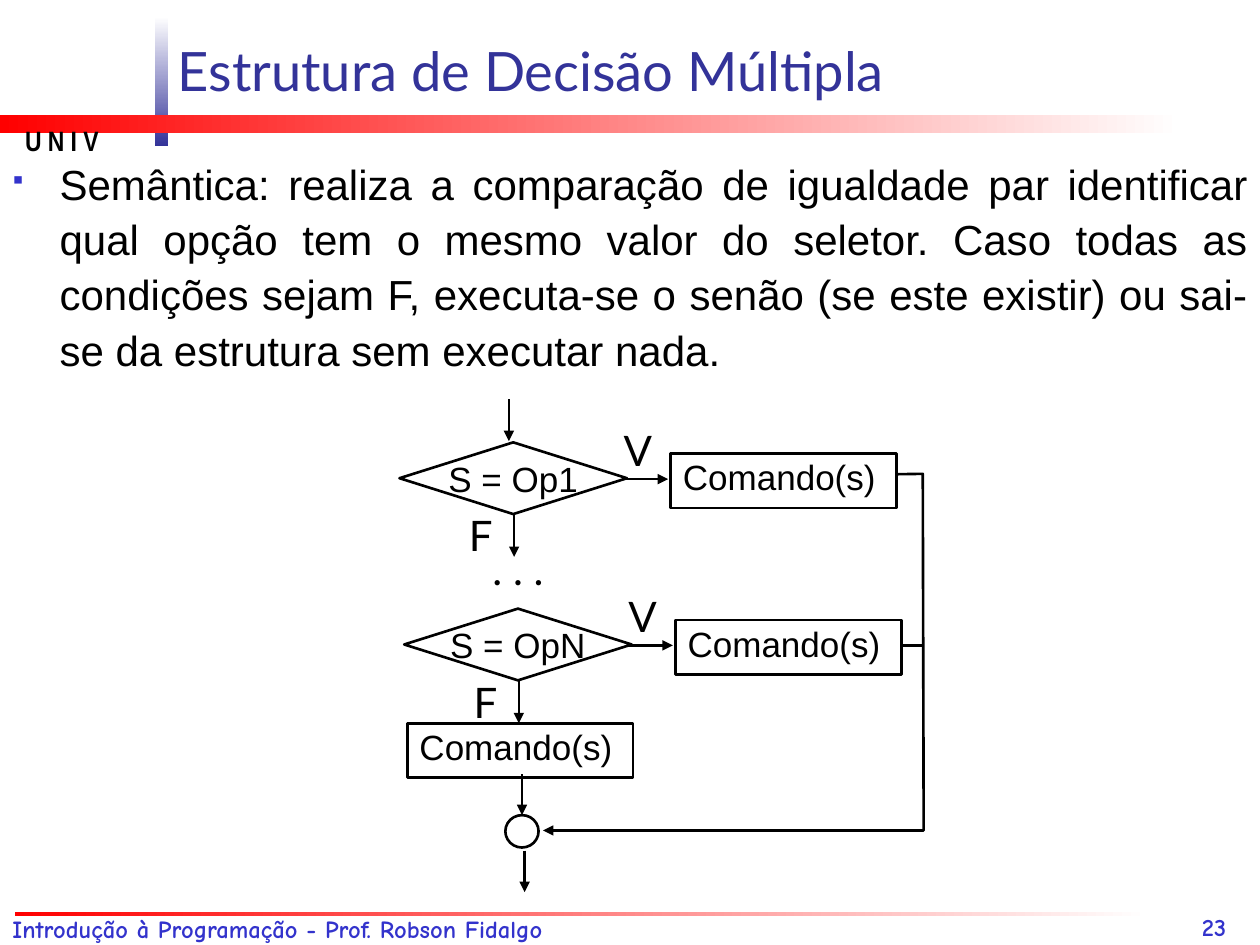
import pptx
import pptx.util
import pptx.dml.color
import pptx.enum.shapes
import pptx.enum.text
import pptx.oxml
import pptx.oxml.ns

Pt = pptx.util.Pt
SHAPE = pptx.enum.shapes.MSO_SHAPE
ALIGN = pptx.enum.text.PP_ALIGN
ANCHOR = pptx.enum.text.MSO_ANCHOR
BLACK, WHITE, NAVY, BLUE, RED = "000000", "FFFFFF", "333399", "3333CC", "FF0000"


def color(value):
    """Turn a hex string into a colour."""
    return pptx.dml.color.RGBColor.from_string(value)


def add_xml(parent, text):
    """Append one drawing element written as XML."""
    opening, rest = text.split(" ", 1)
    element = pptx.oxml.parse_xml(f"{opening} {pptx.oxml.ns.nsdecls('a')} {rest}")
    parent.append(element)


def write(shape, text, size, font="Arial", ink=BLACK, bold=False, align=ALIGN.LEFT,
          anchor=ANCHOR.TOP, wrap=True):
    """Put one formatted paragraph into a shape and return the paragraph."""
    frame = shape.text_frame
    frame.text = text
    frame.word_wrap = wrap
    frame.vertical_anchor = anchor
    para = frame.paragraphs[0]
    para.alignment = align
    for span in para.runs:
        span.font.size = Pt(size)
        span.font.name = font
        span.font.bold = bold
        span.font.color.rgb = color(ink)
    return para


def add_text(page, left, top, width, height, text, size, **style):
    """Add a text box and return its paragraph."""
    box = page.shapes.add_textbox(Pt(left), Pt(top), Pt(width), Pt(height))
    return write(box, text, size, **style)


def add_bar(page, left, top, width, height, start, end, angle):
    """Add a borderless bar with a two-colour gradient."""
    bar = page.shapes.add_shape(SHAPE.RECTANGLE, Pt(left), Pt(top), Pt(width), Pt(height))
    bar.shadow.inherit = False
    bar.line.fill.background()
    bar.fill.gradient()
    bar.fill.gradient_angle = angle
    for stop, value, position in zip(bar.fill.gradient_stops, (start, end), (0, 1)):
        stop.color.rgb = color(value)
        stop.position = position


def set_stroke(shape, arrow):
    """Draw a black outline, with an arrowhead at its end if wanted."""
    shape.line.color.rgb = color(BLACK)
    shape.line.width = Pt(1.5)
    if arrow:
        add_xml(shape.line._get_or_add_ln(), '<a:tailEnd type="triangle"/>')


def add_line(page, x1, y1, x2, y2, arrow=True):
    """Add a straight line or arrow."""
    line = page.shapes.add_connector(pptx.enum.shapes.MSO_CONNECTOR.STRAIGHT,
                                     Pt(x1), Pt(y1), Pt(x2), Pt(y2))
    set_stroke(line, arrow)
    add_xml(line._element.spPr, "<a:effectLst />")


def add_node(page, kind, left, top, width, height):
    """Add a white flowchart node with a black outline."""
    node = page.shapes.add_shape(kind, Pt(left), Pt(top), Pt(width), Pt(height))
    node.shadow.inherit = False
    node.fill.solid()
    node.fill.fore_color.rgb = color(WHITE)
    set_stroke(node, False)
    return node


def add_command(page, left, top):
    """Add a command box."""
    node = add_node(page, SHAPE.FLOWCHART_PROCESS, left, top, 129, 31)
    para = write(node, "Comando(s)", 20, align=ALIGN.CENTER, wrap=False)
    para.line_spacing = 0.8
    node.text_frame.margin_top = Pt(5.8)
    node.text_frame.margin_left = Pt(2)
    node.text_frame.margin_right = Pt(7)


def add_decision(page, left, top, condition):
    """Add a test with its true branch to the right and false branch below."""
    add_line(page, left + 120, top + 21, left + 153.5, top + 21)
    node = add_node(page, SHAPE.FLOWCHART_DECISION, left, top, 130, 41)
    write(node, condition, 20, align=ALIGN.CENTER, anchor=ANCHOR.MIDDLE, wrap=False)
    add_command(page, left + 155, top + 6.5)
    add_line(page, left + 65.5, top + 41.5, left + 65.5, top + 65.5)
    add_text(page, left + 121, top - 13.7, 29, 36, "V", 24, font="Lato", wrap=False)
    add_text(page, left + 32.5, top + 35, 27, 36, "F", 24, font="Lato", wrap=False)


def add_flowchart(page, left, top):
    """Add the multiple-choice flowchart, with its first test at left, top."""
    outline = [(265.5, 18.5), (299, 18), (299.5, 221.8), (82, 221.8)]
    points = [(Pt(left + x), Pt(top + y)) for x, y in outline]
    builder = page.shapes.build_freeform(*points[0])
    builder.add_line_segments(points[1:], close=False)
    route = builder.convert_to_shape()
    route.shadow.inherit = False
    route.fill.background()
    set_stroke(route, True)

    add_line(page, left + 62.5, top - 24.5, left + 62.5, top - 0.7)
    for row, condition in enumerate(("S = Op1", "S = OpN")):
        add_decision(page, left + 2.7 * row, top + 95 * row, condition)
    add_line(page, left + 299, top + 116, left + 286.5, top + 116, arrow=False)
    add_text(page, left + 46, top + 54, 53, 36, ". . .", 24, font="Lato", wrap=False)
    add_command(page, left + 4.5, top + 160.5)
    add_line(page, left + 70, top + 189.5, left + 70, top + 213)
    add_node(page, SHAPE.FLOWCHART_CONNECTOR, left + 60.5, top + 213, 19, 18.5)
    add_line(page, left + 71.5, top + 233.3, left + 71.5, top + 257)


def add_header(page, left, top):
    """Add the title, its crossing bars and the school's initials."""
    add_bar(page, left + 88.5, top + 9.5, 7.5, 74, WHITE, NAVY, 270)
    add_bar(page, left, top + 66, 675, 10, WHITE, RED, 180)
    add_text(page, left + 7.2, top + 67, 73.5, 27, "U N I V", 16, font="Arial Narrow",
             bold=True, wrap=False)
    add_text(page, left + 94.5, top + 13, 661.5, 49, "Estrutura de Decisão Múltipla",
             31, font="Lato", ink=NAVY, anchor=ANCHOR.BOTTOM)


def add_body(page, left, top, width, height):
    """Add the justified bullet paragraph."""
    para = add_text(
        page, left, top, width, height,
        "Semântica: realiza a comparação de igualdade par identificar qual opção tem o "
        "mesmo valor do seletor. Caso todas as condições sejam F, executa-se o senão "
        "(se este existir) ou sai-se da estrutura sem executar nada.",
        24, align=ALIGN.JUSTIFY)
    para.line_spacing = 1.1
    para.space_before = Pt(6)
    properties = para._p.get_or_add_pPr()
    properties.set("marL", str(Pt(27)))
    properties.set("indent", str(-Pt(27)))
    add_xml(properties, f'<a:buClr ><a:srgbClr val="{BLUE}"/></a:buClr>')
    add_xml(properties, '<a:buSzPct val="60000"/>')
    add_xml(properties, '<a:buFont typeface="Wingdings" charset="2"/>')
    add_xml(properties, '<a:buChar char="§"/>')


def add_footer(page, left, top):
    """Add the bottom rule, course name and page number."""
    style = {"font": "Comic Neue", "ink": BLUE, "bold": True}
    add_bar(page, left + 8.5, top + 2.3, 648, 2.3, WHITE, RED, 180)
    para = add_text(page, left, top, 451.5, 24.5,
                    "Introdução à Programação - Prof. Robson Fidalgo", 14, **style)
    para.space_before = para.space_after = Pt(5)
    add_text(page, left + 679.7, top - 13.5, 60, 36, "23", 14,
             anchor=ANCHOR.BOTTOM, **style)


deck = pptx.Presentation()
deck.slide_width, deck.slide_height = Pt(720), Pt(540)
page = deck.slides.add_slide(deck.slide_layouts[6])
add_header(page, 0, 0)
add_body(page, 0, 84, 720, 426)
add_flowchart(page, 228.3, 252.8)
add_footer(page, 0, 519)
deck.save("out.pptx")
